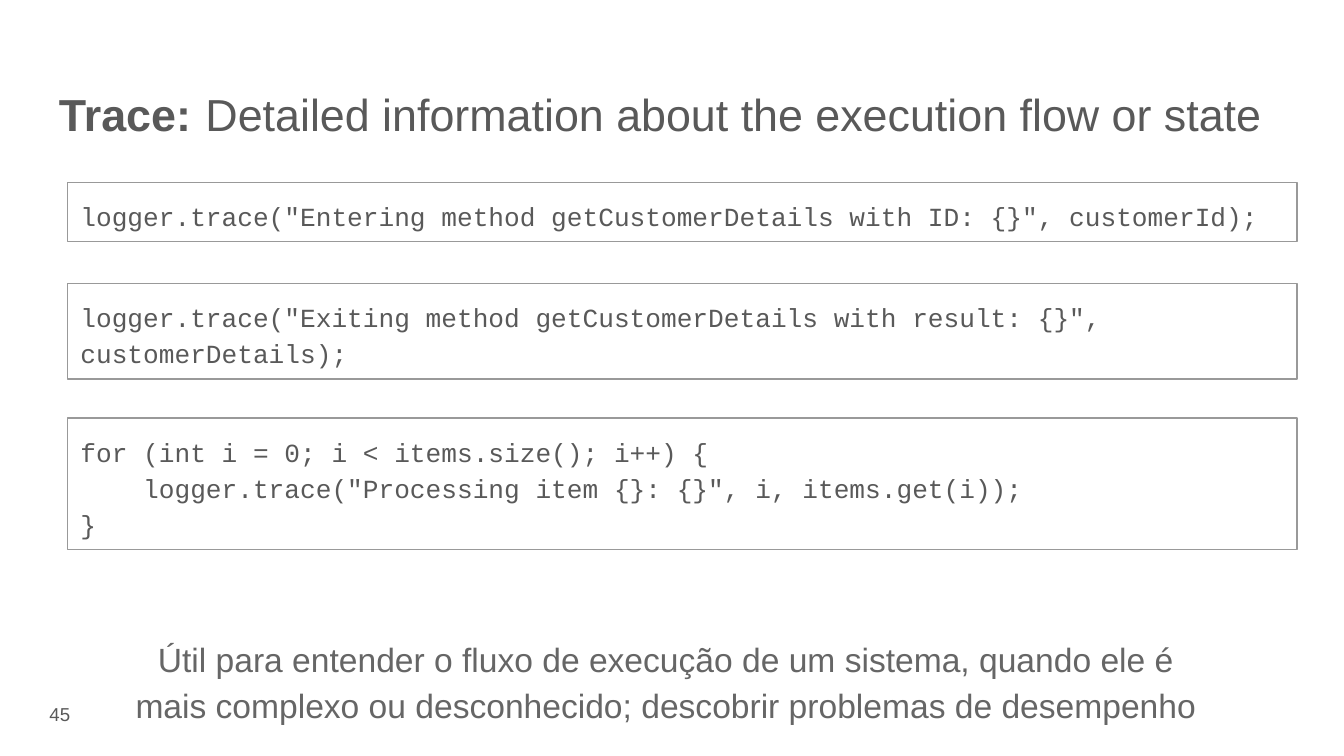
from pptx import Presentation
from pptx.dml.color import RGBColor
from pptx.enum.shapes import MSO_SHAPE
from pptx.enum.text import MSO_ANCHOR, PP_ALIGN
from pptx.util import Inches, Pt

RECT = MSO_SHAPE.RECTANGLE
TOP, MIDDLE = MSO_ANCHOR.TOP, MSO_ANCHOR.MIDDLE
LEFT, CENTER, RIGHT = PP_ALIGN.LEFT, PP_ALIGN.CENTER, PP_ALIGN.RIGHT
WIDTH = 10
HEIGHT = WIDTH * 9 / 16
GREY = "595959"
CODES = [
    (1.36, 0.44, ['logger.trace("Entering method getCustomerDetails with ID: {}", customerId);']),
    (2.11, 0.71, ['logger.trace("Exiting method getCustomerDetails with result: {}", customerDetails);']),
    (3.11, 0.98, [
        "for (int i = 0; i < items.size(); i++) {",
        '    logger.trace("Processing item {}: {}", i, items.get(i));',
        "}",
    ]),
]


def color(code):
    """Turn a hex string into a colour."""
    return RGBColor.from_string(code)


def write(shape, lines, size=14, font="Arial", ink=GREY, align=LEFT, anchor=TOP, space=None):
    """Fill a shape with lines, each a string or a list of (text, size, bold) runs."""
    frame = shape.text_frame
    frame.word_wrap = True
    frame.vertical_anchor = anchor
    frame.margin_left = frame.margin_right = Inches(0.1)
    frame.margin_top = frame.margin_bottom = Inches(0.1)
    for i, line in enumerate(lines):
        para = frame.add_paragraph() if i else frame.paragraphs[0]
        para.alignment = align
        para.line_spacing = space
        runs = [(line, size, False)] if isinstance(line, str) else line
        for text, points, bold in runs:
            run = para.add_run()
            run.text = text
            run.font.name = font
            run.font.size = Pt(points)
            run.font.bold = bold
            run.font.color.rgb = color(ink)


def label(slide, box, lines, **style):
    """Place a plain text box."""
    write(slide.shapes.add_textbox(*map(Inches, box)), lines, **style)


def panel(slide, box, lines):
    """Place an outlined box of code."""
    shape = slide.shapes.add_shape(RECT, *map(Inches, box))
    shape.shadow.inherit = False
    shape.fill.background()
    shape.line.color.rgb = color("999999")
    shape.line.width = Pt(0.75)
    write(shape, lines, font="Courier New", space=1.15)


def main():
    """Build the slide and save it."""
    deck = Presentation()
    deck.slide_width, deck.slide_height = Inches(WIDTH), Inches(HEIGHT)
    slide = deck.slides.add_slide(deck.slide_layouts[6])
    title = [
        ("Trace:", 24, True),
        (" ", 28, False),
        ("Detailed information about the execution flow or state", 24, False),
    ]
    label(slide, (0.34, 0.49, 9.32, 0.63), [title])
    for top, height, lines in CODES:
        panel(slide, (0.5, top, 9.15, height), lines)
    note = ("Útil para entender o fluxo de execução de um sistema, quando ele é "
            "mais complexo ou desconhecido; descobrir problemas de desempenho")
    label(slide, (0.85, 4.61, 8.21, 0.85), [note],
          size=18, ink="666666", align=CENTER, space=1.15)
    label(slide, (0.02, 5.1, 0.6, 0.43), ["45"], size=10, align=RIGHT, anchor=MIDDLE)
    deck.save("out.pptx")


if __name__ == "__main__":
    main()
